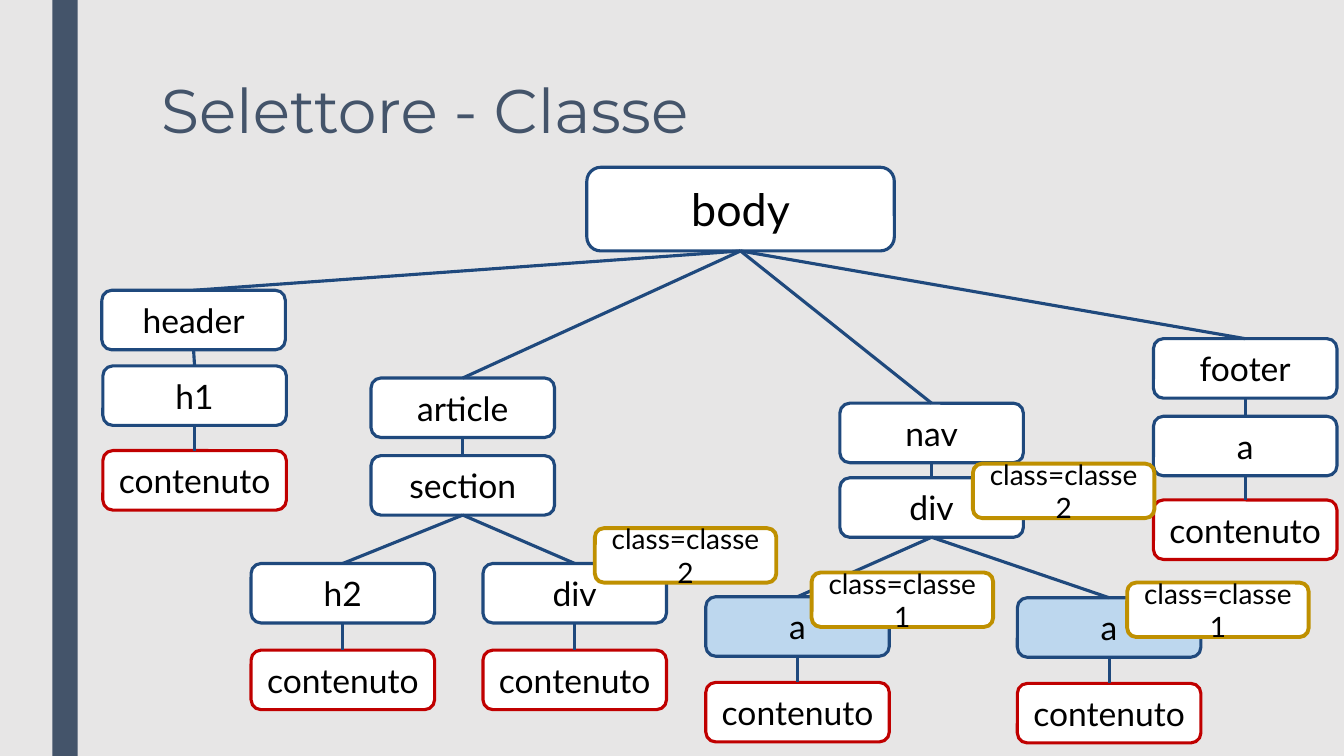
from lxml import etree
from pptx import Presentation
from pptx.dml.color import RGBColor
from pptx.enum.shapes import MSO_CONNECTOR, MSO_SHAPE
from pptx.enum.text import MSO_ANCHOR, PP_ALIGN
from pptx.oxml.ns import qn
from pptx.util import Inches, Pt

STRAIGHT = MSO_CONNECTOR.STRAIGHT
RECTANGLE, ROUNDED = MSO_SHAPE.RECTANGLE, MSO_SHAPE.ROUNDED_RECTANGLE
CENTER, LEFT = PP_ALIGN.CENTER, PP_ALIGN.LEFT
MIDDLE, TOP = MSO_ANCHOR.MIDDLE, MSO_ANCHOR.TOP

COLORS = {
    "background": "E7E6E6", "slate": "44546A", "white": "FFFFFF",
    "black": "000000", "blue": "1F497D", "red": "C00000",
    "gold": "BF9000", "light blue": "BDD7EE",
}
NODE_SIZE = (1.82, 0.59)
BADGE_SIZE = (1.8, 0.54)
TOP_SITE, BOTTOM_SITE = 0, 2

# Tag nodes: key -> (label, left, top, parent key)
TAGS = {
    "header": ("header", 1.01, 2.88, "body"),
    "h1": ("h1", 1.02, 3.63, "header"),
    "article": ("article", 3.68, 3.75, "body"),
    "section": ("section", 3.68, 4.52, "article"),
    "h2": ("h2", 2.49, 5.59, "section"),
    "section div": ("div", 4.79, 5.59, "section"),
    "nav": ("nav", 8.33, 4, "body"),
    "nav div": ("div", 8.33, 4.74, "nav"),
    "first a": ("a", 7, 5.92, "nav div"),
    "second a": ("a", 10.09, 5.93, "nav div"),
    "footer": ("footer", 11.44, 3.36, "body"),
    "footer a": ("a", 11.44, 4.13, "footer"),
}
SELECTED = ("first a", "second a")

# Top of the content leaf under each innermost tag
LEAF_TOPS = {
    "h1": 4.47, "h2": 6.45, "section div": 6.45,
    "first a": 6.77, "second a": 6.78, "footer a": 4.96,
}
BADGES = [
    ("class=classe2", 9.65, 4.6), ("class=classe2", 5.9, 5.24),
    ("class=classe1", 11.18, 5.78), ("class=classe1", 8.05, 5.68),
]


def color(name):
    return RGBColor.from_string(COLORS[name])


def write(box, text, size, font="Lato", ink="black", align=CENTER, anchor=MIDDLE):
    frame = box.text_frame
    frame.word_wrap = True
    frame.vertical_anchor = anchor
    para = frame.paragraphs[0]
    para.alignment = align
    span = para.add_run()
    span.text = text
    span.font.size = Pt(size)
    span.font.name = font
    span.font.color.rgb = color(ink)
    return para


def add_bar(page):
    bar = page.shapes.add_shape(RECTANGLE, Inches(0.52), 0, Inches(0.25), Inches(7.5))
    bar.shadow.inherit = False
    bar.fill.solid()
    bar.fill.fore_color.rgb = color("slate")
    bar.line.fill.background()


def add_title(page, text):
    box = page.shapes.add_textbox(Inches(1.5), Inches(0.75), Inches(10.5), Inches(1.62))
    para = write(box, text, 44, "Montserrat", "slate", LEFT, TOP)
    para.line_spacing = 0.89


def add_node(page, text, left, top, size=NODE_SIZE, points=24,
             fill="white", outline="blue", weight=2.25):
    box = page.shapes.add_shape(ROUNDED, Inches(left), Inches(top), *map(Inches, size))
    box.shadow.inherit = False
    box.fill.solid()
    box.fill.fore_color.rgb = color(fill)
    box.line.color.rgb = color(outline)
    box.line.width = Pt(weight)
    write(box, text, points)
    return box


def add_link(page, parent, child):
    link = page.shapes.add_connector(STRAIGHT, 0, 0, 0, 0)
    link.begin_connect(parent, BOTTOM_SITE)
    link.end_connect(child, TOP_SITE)
    link.line.color.rgb = color("blue")
    link.line.width = Pt(2.25)
    etree.SubElement(link._element.spPr, qn("a:effectLst"))


def main():
    deck = Presentation()
    deck.slide_width, deck.slide_height = Inches(13.33), Inches(7.5)
    page = deck.slides.add_slide(deck.slide_layouts[6])
    page.background.fill.solid()
    page.background.fill.fore_color.rgb = color("background")
    add_bar(page)
    add_title(page, "Selettore - Classe")

    # Document tree
    nodes = {"body": add_node(page, "body", 5.82, 1.66, (3.05, 0.83), 32)}
    for key, (label, left, top, parent) in TAGS.items():
        fill = "light blue" if key in SELECTED else "white"
        nodes[key] = add_node(page, label, left, top, fill=fill)
        add_link(page, nodes[parent], nodes[key])

    # Content leaves, aligned with their tags
    for key, top in LEAF_TOPS.items():
        leaf = add_node(page, "contenuto", TAGS[key][1], top, outline="red")
        add_link(page, nodes[key], leaf)

    # Class badges
    for label, left, top in BADGES:
        add_node(page, label, left, top, BADGE_SIZE, 20, outline="gold", weight=2.75)

    deck.save("out.pptx")


if __name__ == "__main__":
    main()
